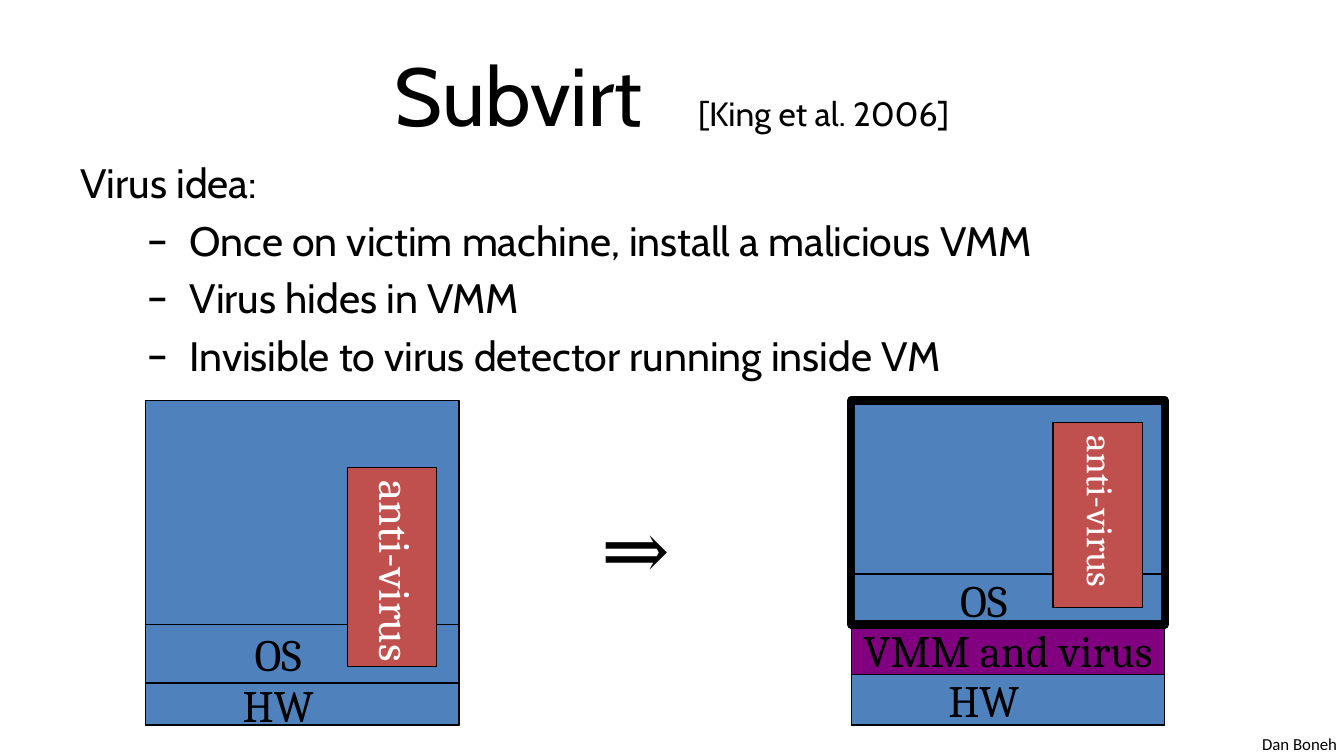
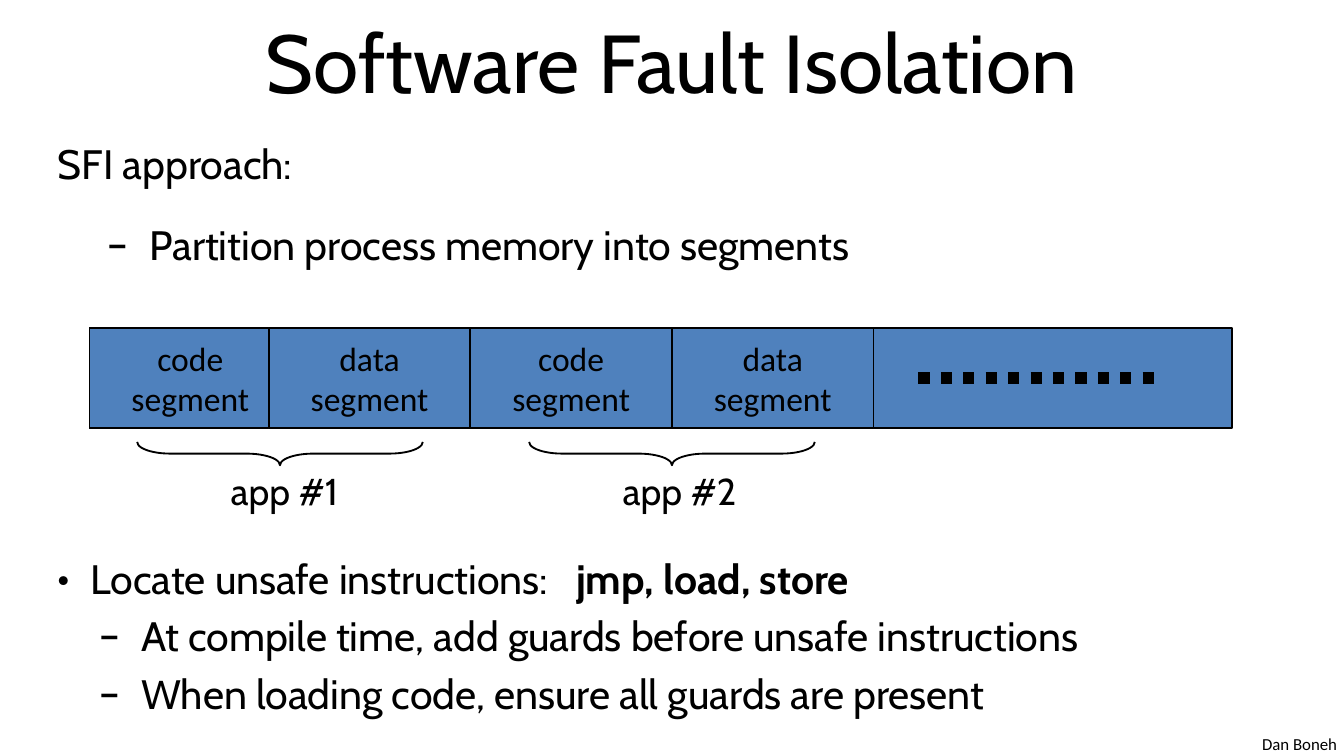
"""Build two slides on virtual machine malware and software fault isolation."""
from dataclasses import dataclass

from lxml.etree import SubElement
from pptx import Presentation
from pptx.dml.color import RGBColor
from pptx.enum.dml import MSO_LINE_DASH_STYLE
from pptx.enum.shapes import MSO_CONNECTOR, MSO_SHAPE
from pptx.enum.text import MSO_ANCHOR, PP_ALIGN
from pptx.oxml.ns import qn
from pptx.util import Pt


@dataclass(frozen=True)
class Theme:
    ink: RGBColor = RGBColor(0, 0, 0)
    paper: RGBColor = RGBColor(255, 255, 255)
    blue: RGBColor = RGBColor(0x4F, 0x81, 0xBD)
    red: RGBColor = RGBColor(0xC0, 0x50, 0x4D)
    purple: RGBColor = RGBColor(0x80, 0, 0x80)
    main: str = "Cabin"
    plain: str = "Calibri"
    serif: str = "Cambria"
    title: int = 44
    body: int = 22
    layer: int = 24
    app: int = 20
    small: int = 18
    footer: int = 9
    thin: float = 0.75
    medium: float = 1
    dots: float = 6
    heavy: float = 4.5


THEME = Theme()

FOOTER = "Dan Boneh"
SUBVIRT_TITLE = [("Subvirt", {}), (" ", {"gap": 20}),
                 ("[King et al. 2006]", {"size": THEME.small})]
SFI_TITLE = [("Software Fault Isolation", {})]

DASH, DOT = "–", "•"
LEAD = 4.4
SUBVIRT_POINTS = [
    ([("Virus idea:", {})], None, 0, 0, LEAD),
    ([("Once on victim machine, install a malicious VMM", {})], DASH, 58.5, 22.5, LEAD),
    ([("Virus hides in VMM", {})], DASH, 58.5, 22.5, LEAD),
    ([("Invisible to virus detector running inside VM", {})], DASH, 58.5, 22.5, LEAD),
]
SFI_POINTS = [
    ([("SFI approach:", {})], None, 0, 0, LEAD),
    ([("Partition process memory into segments", {})], DASH, 49, 22.5, 17.3),
    ([("Locate unsafe instructions:", {}), (" ", {"gap": 10}),
      ("jmp, load, store", {"bold": True})], DOT, 17.5, 17.5, 152.3),
    ([("At compile time, add guards before unsafe instructions", {})],
     DASH, 44.5, 22.5, LEAD),
    ([("When loading code, ensure all guards are present", {})],
     DASH, 44.5, 22.5, LEAD),
]

LABEL_SHIFT = 26
MACHINE_TOP, MACHINE_WIDTH, MACHINE_HEIGHT = 214.5, 168, 174
MACHINES = [
    {"left": 78, "antivirus": (250.5, 106.5, 24), "guest": None,
     "layers": [("HW", 22.5, THEME.blue, LABEL_SHIFT),
                ("OS", 31.5, THEME.blue, LABEL_SHIFT)]},
    {"left": 456, "antivirus": (226.5, 99, 20), "guest": 120,
     "layers": [("HW", 27, THEME.blue, LABEL_SHIFT),
                ("VMM and virus", 27, THEME.purple, 0),
                ("OS", 27, THEME.blue, LABEL_SHIFT)]},
]

MEMORY = (48, 175.5, 612, 54)
SEGMENT_WIDTH = 108
SEGMENTS = [("code", 48), ("data", 144), ("code", 252), ("data", 360)]
APPS = [("app #1", 150), ("app #2", 360)]


def write(paragraph, runs, font, size, color=THEME.ink, align=PP_ALIGN.LEFT):
    paragraph.alignment = align
    paragraph.font.name = font
    paragraph.font.size = Pt(size)
    paragraph.font.color.rgb = color
    for words, style in runs:
        run = paragraph.add_run()
        run.text = words
        if "size" in style:
            run.font.size = Pt(style["size"])
        if "bold" in style:
            run.font.bold = style["bold"]
        if "gap" in style:
            run.font._element.set("spc", str(style["gap"] * 100))


def add_text(slide, area, wrap=True, anchor=MSO_ANCHOR.TOP):
    frame = slide.shapes.add_textbox(*map(Pt, area)).text_frame
    frame.word_wrap = wrap
    frame.vertical_anchor = anchor
    return frame


def add_block(slide, area, fill, width, preset=MSO_SHAPE.RECTANGLE):
    block = slide.shapes.add_shape(preset, *map(Pt, area))
    block.shadow.inherit = False
    if fill is None:
        block.fill.background()
    else:
        block.fill.solid()
        block.fill.fore_color.rgb = fill
    block.line.color.rgb = THEME.ink
    block.line.width = Pt(width)
    return block


def label(block, lines, font, size, shift=0):
    frame = block.text_frame
    frame.word_wrap = True
    frame.vertical_anchor = MSO_ANCHOR.MIDDLE
    frame.margin_left = frame.margin_top = frame.margin_bottom = 0
    frame.margin_right = Pt(shift)
    for index, line in enumerate(lines):
        paragraph = frame.add_paragraph() if index else frame.paragraphs[0]
        write(paragraph, [(line, {})], font, size, align=PP_ALIGN.CENTER)


def label_upright(block, name, size):
    frame = block.text_frame
    frame.word_wrap = False
    frame.vertical_anchor = MSO_ANCHOR.MIDDLE
    frame._txBody.bodyPr.set("vert", "eaVert")
    frame.margin_left = frame.margin_right = Pt(7.2)
    frame.margin_top = frame.margin_bottom = Pt(3.6)
    paragraph = frame.paragraphs[0]
    paragraph.line_spacing = 0.8
    write(paragraph, [(name, {})], THEME.serif, size, THEME.paper, PP_ALIGN.CENTER)


def add_points(slide, area, points):
    frame = add_text(slide, area)
    for index, (runs, bullet, indent, hang, before) in enumerate(points):
        paragraph = frame.add_paragraph() if index else frame.paragraphs[0]
        paragraph.space_before = Pt(before)
        write(paragraph, runs, THEME.main, THEME.body)
        if bullet:
            props = paragraph._p.get_or_add_pPr()
            props.set("marL", str(Pt(indent)))
            props.set("indent", str(-Pt(hang)))
            for tag, key, value in (("a:buFont", "typeface", THEME.main),
                                    ("a:buChar", "char", bullet)):
                mark = SubElement(props, qn(tag))
                mark.set(key, value)
                props.insert_element_before(mark, "a:tabLst", "a:defRPr", "a:extLst")


def start_slide(deck, title, title_top):
    slide = deck.slides.add_slide(deck.slide_layouts[6])
    footer = add_text(slide, (669, 389.5, 54.5, 18), wrap=False)
    write(footer.paragraphs[0], [(FOOTER, {})], THEME.plain, THEME.footer)
    heading = add_text(slide, (36, title_top, 648, 67.5), anchor=MSO_ANCHOR.MIDDLE)
    write(heading.paragraphs[0], title, THEME.main, THEME.title, align=PP_ALIGN.CENTER)
    return slide


def add_machine(slide, machine):
    left = machine["left"]
    add_block(slide, (left, MACHINE_TOP, MACHINE_WIDTH, MACHINE_HEIGHT),
              THEME.blue, THEME.thin)
    top = MACHINE_TOP + MACHINE_HEIGHT
    for name, height, fill, shift in machine["layers"]:
        top -= height
        layer = add_block(slide, (left, top, MACHINE_WIDTH, height), fill, THEME.thin)
        label(layer, [name], THEME.serif, THEME.layer, shift)
    top, height, size = machine["antivirus"]
    antivirus = add_block(slide, (left + 108, top, 48, height), THEME.red, THEME.thin)
    label_upright(antivirus, "anti-virus", size)
    if machine["guest"]:
        add_block(slide, (left, MACHINE_TOP, MACHINE_WIDTH, machine["guest"]),
                  None, THEME.heavy)


def add_subvirt(deck):
    slide = start_slide(deck, SUBVIRT_TITLE, 16.5)
    add_points(slide, (36, 81, 660, 315.5), SUBVIRT_POINTS)
    for machine in MACHINES:
        add_machine(slide, machine)
    arrow = add_text(slide, (312, 263, 58, 60.5), wrap=False)
    write(arrow.paragraphs[0], [("⇒", {})], THEME.serif, THEME.title,
          align=PP_ALIGN.CENTER)


def add_app(slide, name, center):
    span, depth, middle = 153, 12.5, 243
    brace = add_block(slide, (center - depth / 2, middle - span / 2, depth, span),
                      None, THEME.medium, MSO_SHAPE.LEFT_BRACE)
    brace.rotation = 270
    brace.adjustments[0] = 1.42
    caption = add_text(slide, (center - 33.5, 247.5, 79, 31.5), wrap=False)
    write(caption.paragraphs[0], [(name, {})], THEME.main, THEME.app)


def add_isolation(deck):
    slide = start_slide(deck, SFI_TITLE, -1.5)
    add_points(slide, (24, 70.5, 684, 334.5), SFI_POINTS)
    add_block(slide, MEMORY, THEME.blue, THEME.medium)
    _, top, _, height = MEMORY
    for kind, left in SEGMENTS:
        segment = add_block(slide, (left, top, SEGMENT_WIDTH, height),
                            THEME.blue, THEME.medium)
        label(segment, [kind, "segment"], THEME.plain, THEME.small)
    middle = top + height / 2
    more = slide.shapes.add_connector(MSO_CONNECTOR.STRAIGHT,
                                      *map(Pt, (492, middle, 618, middle)))
    more.line.color.rgb = THEME.ink
    more.line.width = Pt(THEME.dots)
    more.line.dash_style = MSO_LINE_DASH_STYLE.ROUND_DOT
    SubElement(more._element.spPr, qn("a:effectLst"))
    for name, center in APPS:
        add_app(slide, name, center)


def main():
    deck = Presentation()
    deck.slide_width, deck.slide_height = Pt(720), Pt(405)
    add_subvirt(deck)
    add_isolation(deck)
    deck.save("out.pptx")


if __name__ == "__main__":
    main()
